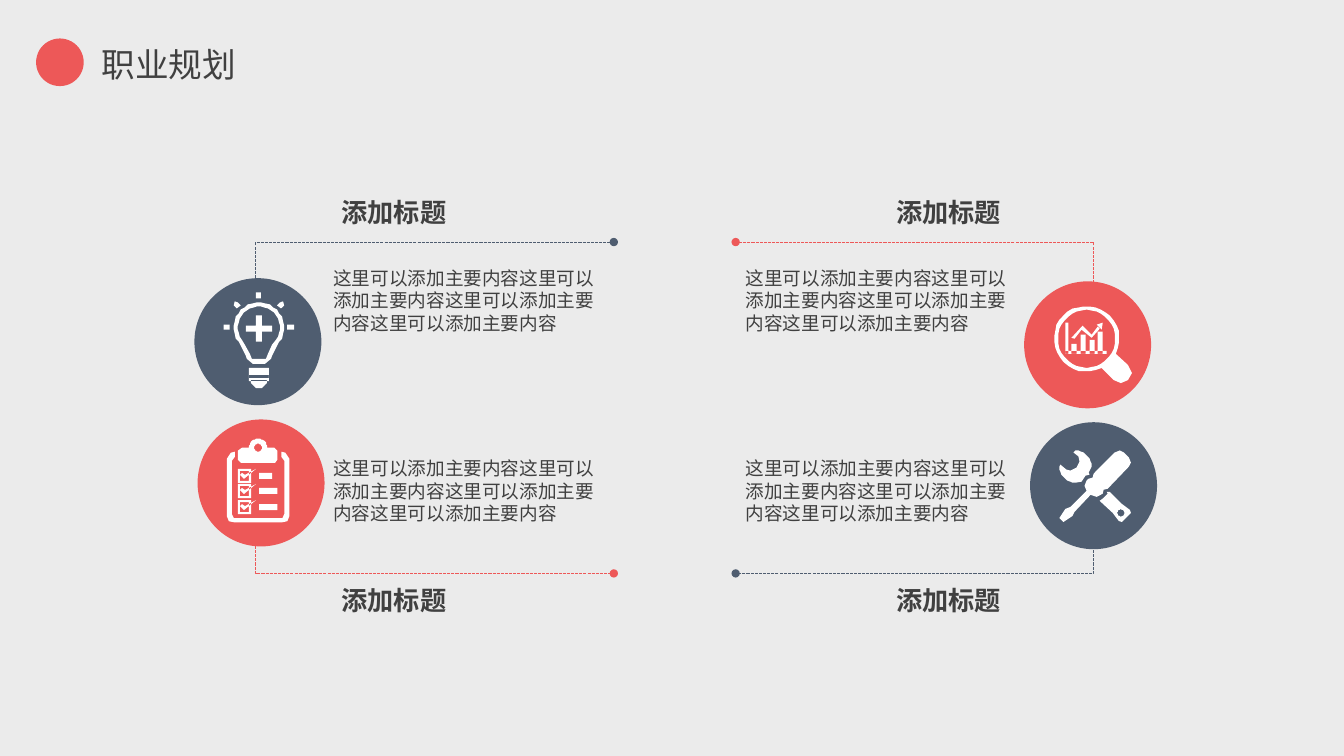
import math

from lxml import etree
from pptx import Presentation
from pptx import util as u
from pptx.dml.color import RGBColor
from pptx.enum import dml, shapes, text
from pptx.oxml.ns import qn

COLORS = {"bg": "EBEBEB", "red": "ED5858", "slate": "4F5D70",
          "text": "404040", "white": "FFFFFF"}
FONT = "Noto Sans CJK SC"
DISC = 3.2
ICON_UNIT = u.Cm(2.54) / 100
BODY = "这里可以添加主要内容" * 4


def rgb(name):
    return RGBColor.from_string(COLORS[name])


def write(tf, content, size=13.3, bold=False, align=None):
    p = tf.paragraphs[0]
    p.alignment = align
    p.line_spacing = u.Pt(size * 1.2)
    r = p.add_run()
    r.text = content
    r.font.size, r.font.bold, r.font.name = u.Pt(size), bold, FONT
    r.font.color.rgb = rgb("text")
    etree.SubElement(r.font._element, qn("a:ea"), typeface=FONT)


# Outlines for the icons, in icon units from the disc's top left corner
def arc(cx, cy, radius, start=0, end=360):
    steps = max(6, int(abs(end - start) / 10))
    angles = [math.radians(start + (end - start) * i / steps) for i in range(steps + 1)]
    return [(cx + radius * math.cos(a), cy + radius * math.sin(a)) for a in angles]


def box(x, y, w, h):
    return [(x, y), (x + w, y), (x + w, y + h), (x, y + h)]


def bulb():
    glass = arc(64, 49, 25, 145, 395) + [(77, 77), (76, 80), (70, 85), (58, 85), (52, 80), (51, 77)]
    inside = arc(64, 49, 21, 145, 395) + [(77, 66), (73, 75), (71, 80), (57, 80), (55, 75), (50, 66)]
    plus = [(61, 37), (67, 37), (67, 47), (77, 47), (77, 53), (67, 53),
            (67, 63), (61, 63), (61, 53), (51, 53), (51, 47), (61, 47)]
    base = [box(54, 89, 20, 10), box(54, 96, 20, 6), arc(64, 101, 8, 0, 180)]
    rays = [box(29, 46, 6, 5), box(92, 46, 7, 5), box(61, 14, 5, 6)]
    rays += [[(64 + side * x, y) for x, y in ((22, 30), (25, 27), (24, 23), (21, 24), (18, 27))]
             for side in (-1, 1)]
    return [glass, inside, plus] + base + rays


def clipboard():
    board = [(37, 37), (37, 32), (33, 33), (29, 39), (29, 96), (31, 101), (36, 102),
             (84, 102), (89, 101), (91, 96), (91, 39), (87, 33), (83, 32), (83, 37),
             (86, 41), (86, 94), (84, 98), (36, 98), (34, 94), (34, 41)]
    clip = arc(60, 28, 9, 180, 360) + [(76, 28), (79, 31), (79, 40), (77, 43),
                                       (43, 43), (40, 40), (40, 31), (44, 28)]
    rows = []
    for y, width in ((49, 13), (64, 18), (80, 18)):
        tick = [(42, y + 6), (44, y + 4), (47, y + 6), (58, y), (46, y + 10)]
        rows += [box(40, y, 13, 14), box(42, y + 2, 9, 10), tick, box(61, y + 4, width, 6)]
    return [board, clip, arc(60, 28, 4)] + rows


def magnifier():
    lens = arc(62, 57, 32.5, 63, 387) + [(103, 83), (107, 91), (103, 98), (96, 101), (89, 98)]
    trend = [(47, 56), (58, 44), (67, 53), (73, 45), (75, 47), (67, 56), (57, 48), (50, 57)]
    arrow = [(72, 43), (78, 41), (77, 48)]
    bars = [box(x, top, 5, 72 - top) for x, top in ((47, 62), (56, 53), (65, 58), (73, 50))]
    axes = [box(41, 41, 3, 31), box(41, 69, 41, 3)]
    return [lens, arc(62, 57, 28.5), trend, arrow] + bars + axes


def tools():
    handle = [(76, 69), (77, 71), (73, 75), (69, 78), (82, 90), (88, 98), (91, 99),
              (100, 90), (99, 87), (91, 81), (79, 69)]
    head = ([(55, 53), (59, 52), (58, 50)] + arc(45, 44, 16, 0, -90)
            + [(43, 30), (48, 34), (49, 39), (46, 45), (40, 48), (36, 47), (30, 42)]
            + arc(45, 44, 16, 180, 90) + [(51, 59)])
    driver = [(98, 35), (93, 30), (89, 28), (84, 30), (63, 51), (62, 55), (58, 56), (56, 58),
              (54, 63), (56, 68), (40, 84), (35, 86), (29, 95), (33, 99), (42, 93), (44, 89),
              (60, 72), (66, 74), (70, 72), (72, 71), (73, 67), (77, 66), (98, 44), (100, 40)]
    return [handle, arc(90, 90, 3.5), head, driver]


class Deck:
    def __init__(self):
        self.prs = Presentation()
        self.prs.slide_width, self.prs.slide_height = u.Cm(33.87), u.Cm(19.05)
        self.s = self.prs.slides.add_slide(self.prs.slide_layouts[6])
        self.s.background.fill.solid()
        self.s.background.fill.fore_color.rgb = rgb("bg")

    def paint(self, sp, color):
        sp.shadow.inherit = False
        sp.fill.solid()
        sp.fill.fore_color.rgb = rgb(color)
        sp.line.fill.background()

    def disc(self, tree, kind, x, y, size, color):
        sp = tree.add_shape(kind, u.Cm(x), u.Cm(y), u.Cm(size), u.Cm(size))
        self.paint(sp, color)

    def badge(self, x, y, color, outlines):
        tree = self.s.shapes.add_group_shape().shapes
        self.disc(tree, shapes.MSO_SHAPE.OVAL, x, y, DISC, color)
        fb = tree.build_freeform(*outlines[0][0], scale=ICON_UNIT)
        fb.add_line_segments(outlines[0][1:])
        for outline in outlines[1:]:
            fb.move_to(*outline[0])
            fb.add_line_segments(outline[1:])
        self.paint(fb.convert_to_shape(u.Cm(x), u.Cm(y)), "white")

    def bracket(self, points, color):
        start, *rest = [(u.Cm(x), u.Cm(y)) for x, y in points]
        fb = self.s.shapes.build_freeform(*start)
        fb.add_line_segments(rest, close=False)
        sp = fb.convert_to_shape()
        sp.shadow.inherit = False
        sp.fill.background()
        sp.line.color.rgb = rgb(color)
        sp.line.width = u.Pt(0)
        sp.line.dash_style = dml.MSO_LINE.SQUARE_DOT
        ln = sp.line._get_or_add_ln()
        for end in ("a:headEnd", "a:tailEnd"):
            etree.SubElement(ln, qn(end), type="oval")

    def label(self, x, y, w, h, content, wrap=True, **fmt):
        tf = self.s.shapes.add_textbox(u.Cm(x), u.Cm(y), u.Cm(w), u.Cm(h)).text_frame
        tf.word_wrap = wrap
        tf.auto_size = text.MSO_AUTO_SIZE.SHAPE_TO_FIT_TEXT
        write(tf, content, **fmt)


def main():
    deck = Deck()

    # Page title
    deck.disc(deck.s.shapes, shapes.MSO_SHAPE.FLOWCHART_CONNECTOR, 0.91, 0.97, 1.2, "red")
    deck.label(2.31, 0.99, 3.94, 1.27, "职业规划", wrap=False, size=24)

    # Columns: bracket corner x, bracket end x, heading x, body x, heading alignment
    left = (6.45, 15.47, 8.36, 8.15, None)
    right = (27.56, 18.54, 20.6, 18.54, text.PP_ALIGN.RIGHT)
    # Rows: bracket start y, bracket bar y, heading y, body y
    top = (8.15, 6.1, 4.83, 6.6)
    bottom = (12.42, 14.45, 14.61, 11.4)

    # Four topics: column, row, colour, disc position, icon
    topics = [(left, top, "slate", (4.9, 7.01), bulb),
              (right, top, "red", (25.81, 7.09), magnifier),
              (left, bottom, "red", (4.98, 10.57), clipboard),
              (right, bottom, "slate", (25.96, 10.64), tools)]
    for column, row, color, place, icon in topics:
        corner_x, end_x, head_x, body_x, align = column
        start_y, bar_y, head_y, body_y = row
        deck.bracket([(corner_x, start_y), (corner_x, bar_y), (end_x, bar_y)], color)
        deck.badge(*place, color, icon())
        deck.label(head_x, head_y, 4.88, 1.07, "添加标题", size=18.7, bold=True, align=align)
        deck.label(body_x, body_y, 7.19, 1.96, BODY)

    deck.prs.save("out.pptx")


if __name__ == "__main__":
    main()
